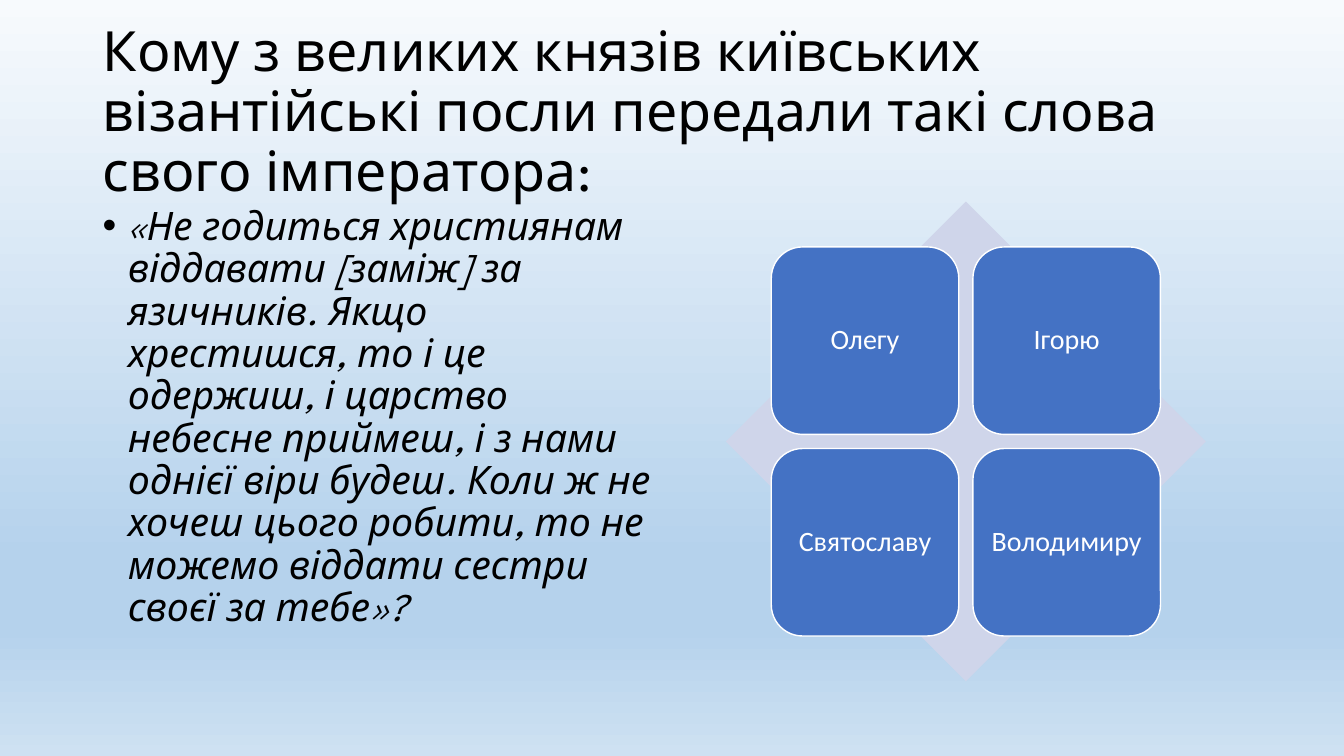
"""Build a quiz slide with a quotation and four answer tiles on a diamond."""
from lxml.etree import SubElement
from pptx import Presentation
from pptx.dml.color import RGBColor
from pptx.enum.shapes import MSO_SHAPE as SHAPE
from pptx.enum.text import MSO_ANCHOR as ANCHOR, MSO_AUTO_SIZE as AUTO, PP_ALIGN as ALIGN
from pptx.oxml.ns import qn
from pptx.util import Inches, Pt

TITLE = "Кому з великих князів київських візантійські посли передали такі слова свого імператора:"
QUOTE = ("«Не годиться християнам віддавати [заміж] за язичників. Якщо хрестишся, "
         "то і це одержиш, і царство небесне приймеш, і з нами однієї віри будеш. "
         "Коли ж не хочеш цього робити, то не можемо віддати сестри своєї за тебе»?")
ANSWERS = ["Олегу", "Ігорю", "Святославу", "Володимиру"]

COLORS = {"text": "000000", "diamond": "CFD5EA", "tile": "4472C4", "white": "FFFFFF"}
SKY = [(0, "F7FAFD"), (74, "B5D2EC"), (83, "B5D2EC"), (100, "CEE1F2")]
HEADING_FONT, TILE_FONT = "League Spartan", "Calibri"

DIAMOND_LEFT, DIAMOND_TOP, DIAMOND_SIZE = 7.2, 2, 4.76
TILE_SIZE, TILE_STEP = 1.86, 2
TILE_MARGIN = (DIAMOND_SIZE - TILE_SIZE - TILE_STEP) / 2


def rgb(name):
    return RGBColor.from_string(COLORS[name])


def write(s, text, size, font=HEADING_FONT, color="text", align=ALIGN.LEFT,
          anchor=ANCHOR.TOP, italic=False, bullet=None, inset=None):
    tf = s.text_frame
    tf.word_wrap = True
    tf.auto_size = AUTO.NONE
    tf.vertical_anchor = anchor
    if inset is not None:
        tf.margin_left = tf.margin_right = tf.margin_top = tf.margin_bottom = Inches(inset)
    p = tf.paragraphs[0]
    p.alignment = align
    p.line_spacing = 0.9
    p.space_before = Pt(0)
    if bullet:
        props = p._p.get_or_add_pPr()
        props.set("marL", str(Inches(0.25)))
        props.set("indent", str(-Inches(0.25)))
        SubElement(props, qn("a:buFont"), typeface="Arial")
        SubElement(props, qn("a:buChar"), char=bullet)
    r = p.add_run()
    r.text = text
    r.font.size = Pt(size)
    r.font.name = font
    r.font.italic = italic
    r.font.color.rgb = rgb(color)


def add_square(slide, kind, left, top, size, fill):
    s = slide.shapes.add_shape(kind, Inches(left), Inches(top), Inches(size), Inches(size))
    s.shadow.inherit = False
    s.fill.solid()
    s.fill.fore_color.rgb = rgb(fill)
    s.line.fill.background()
    return s


def paint_sky(slide):
    fill = slide.background.fill
    fill.gradient()
    fill.gradient_angle = 270
    stops = slide.background._cSld.find(".//" + qn("a:gsLst"))
    for stop in list(stops):
        stops.remove(stop)
    for percent, color in SKY:
        stop = SubElement(stops, qn("a:gs"), pos=str(percent * 1000))
        SubElement(stop, qn("a:srgbClr"), val=color)


def main():
    prs = Presentation()
    prs.slide_width, prs.slide_height = Inches(13.33), Inches(7.5)
    slide = prs.slides.add_slide(prs.slide_layouts[5])
    paint_sky(slide)

    title = slide.shapes.title
    title.left, title.top = Inches(0.92), Inches(0.4)
    title.width, title.height = Inches(11.5), Inches(1.45)
    write(title, TITLE, 39.6, anchor=ANCHOR.MIDDLE)

    quote = slide.shapes.add_textbox(Inches(0.92), Inches(2), Inches(5.67), Inches(4.76))
    write(quote, QUOTE, 28, italic=True, bullet="•")

    add_square(slide, SHAPE.DIAMOND, DIAMOND_LEFT, DIAMOND_TOP, DIAMOND_SIZE, "diamond")
    for i, answer in enumerate(ANSWERS):
        row, col = divmod(i, 2)
        tile = add_square(slide, SHAPE.ROUNDED_RECTANGLE,
                          DIAMOND_LEFT + TILE_MARGIN + col * TILE_STEP,
                          DIAMOND_TOP + TILE_MARGIN + row * TILE_STEP, TILE_SIZE, "tile")
        tile.line.color.rgb = rgb("white")
        tile.line.width = Pt(1)
        write(tile, answer, 20, font=TILE_FONT, color="white", align=ALIGN.CENTER,
              anchor=ANCHOR.MIDDLE, inset=0.08)

    prs.save("out.pptx")


if __name__ == "__main__":
    main()
